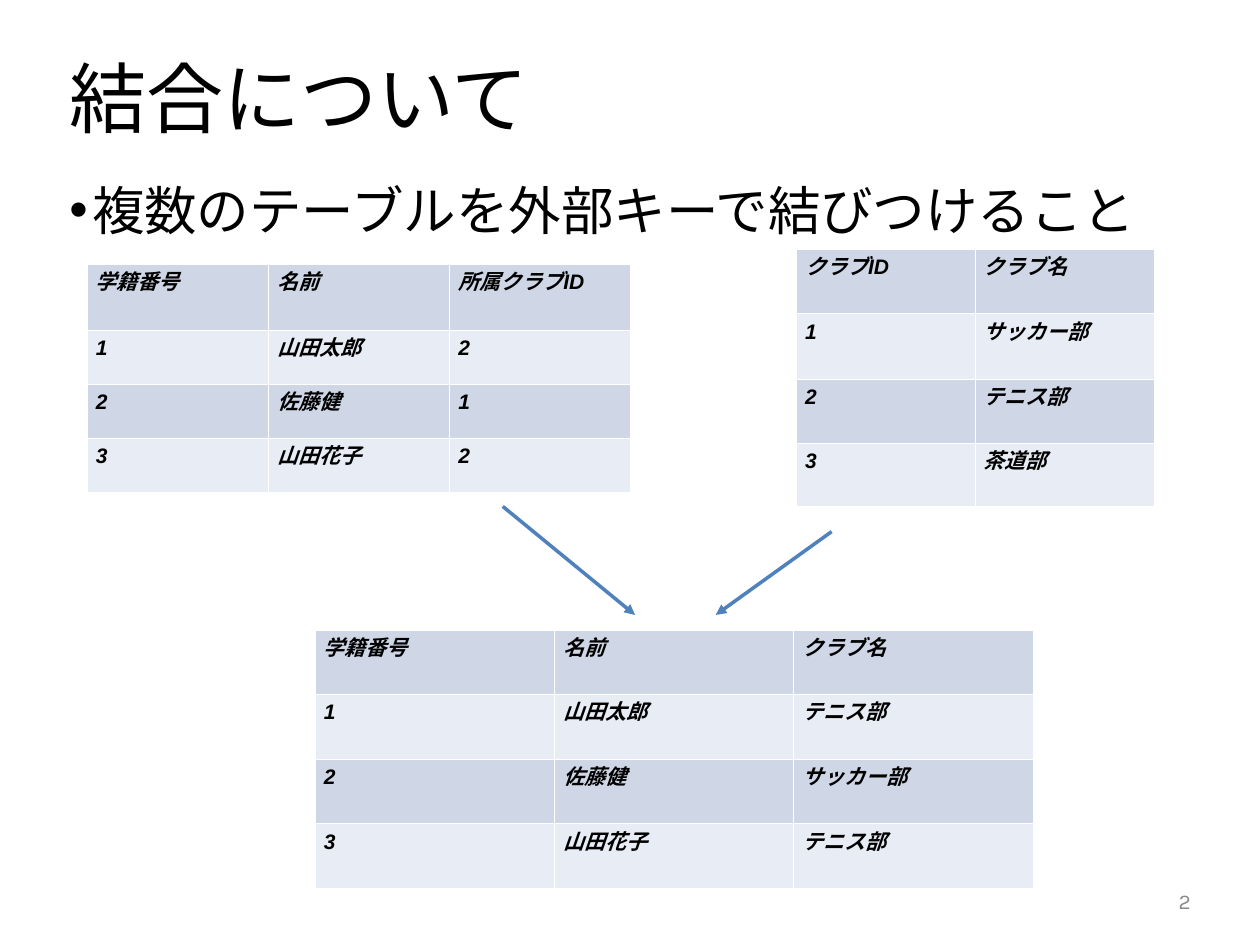
"""Build a slide that explains joining two tables through a foreign key."""

from dataclasses import dataclass

from lxml.etree import SubElement
from pptx import Presentation
from pptx.dml.color import RGBColor
from pptx.enum.lang import MSO_LANGUAGE_ID
from pptx.enum.shapes import MSO_CONNECTOR
from pptx.enum.text import MSO_ANCHOR, PP_ALIGN
from pptx.oxml.ns import qn
from pptx.slide import Slide
from pptx.text.text import _Paragraph
from pptx.util import Pt


@dataclass(frozen=True)
class TextStyle:
    font: str
    size: float
    color: str
    bold: bool = False
    italic: bool = False


@dataclass(frozen=True)
class Theme:
    title: TextStyle = TextStyle("Karla", 44, "000000")
    body: TextStyle = TextStyle("Karla", 30, "000000")
    number: TextStyle = TextStyle("Karla", 12, "898989")
    cell: TextStyle = TextStyle("Arial", 12, "000000", True, True)
    bands: tuple[str, str] = ("CFD7E7", "E8ECF4")
    border: str = "FFFFFF"
    border_width: float = 0.45
    arrow: str = "4F81BD"
    arrow_width: float = 2


@dataclass(frozen=True)
class TextBox:
    text: str
    style: TextStyle
    left: float
    top: float
    width: float
    height: float
    anchor: MSO_ANCHOR = MSO_ANCHOR.MIDDLE
    alignment: PP_ALIGN = PP_ALIGN.LEFT
    bullet: str = ""


@dataclass(frozen=True)
class DataTable:
    left: float
    top: float
    column_width: float
    row_heights: tuple[float, ...]
    rows: tuple[tuple[str, ...], ...]


@dataclass(frozen=True)
class Arrow:
    start: tuple[float, float]
    end: tuple[float, float]


THEME = Theme()

TEXT_BOXES = (
    TextBox("結合について", THEME.title, 36, 21.6, 648, 67),
    TextBox("複数のテーブルを外部キーで結びつけること", THEME.body, 36, 97.9, 648, 396.7,
            anchor=MSO_ANCHOR.TOP, bullet="•"),
    TextBox("2", THEME.number, 516.2, 504, 167.8, 21.6, alignment=PP_ALIGN.RIGHT),
)

TABLES = (
    DataTable(49.7, 151.2, 103.6, (37.4, 31, 31, 31), (
        ("学籍番号", "名前", "所属クラブID"),
        ("1", "山田太郎", "2"),
        ("2", "佐藤健", "1"),
        ("3", "山田花子", "2"),
    )),
    DataTable(455, 142.6, 102.2, (36.7, 37.4, 36.7, 36), (
        ("クラブID", "クラブ名"),
        ("1", "サッカー部"),
        ("2", "テニス部"),
        ("3", "茶道部"),
    )),
    DataTable(180, 360, 136.8, (36.9,) * 4, (
        ("学籍番号", "名前", "クラブ名"),
        ("1", "山田太郎", "テニス部"),
        ("2", "佐藤健", "サッカー部"),
        ("3", "山田花子", "テニス部"),
    )),
)

ARROWS = (
    Arrow((287.3, 289.4), (362.9, 351.4)),
    Arrow((475.2, 303.8), (409, 351.4)),
)


def add_run(paragraph: _Paragraph, text: str, style: TextStyle) -> None:
    run = paragraph.add_run()
    run.text = text
    font = run.font
    font.name, font.size = style.font, Pt(style.size)
    font.bold, font.italic = style.bold, style.italic
    font.color.rgb = RGBColor.from_string(style.color)
    font.language_id = MSO_LANGUAGE_ID.JAPANESE
    SubElement(run._r.rPr, qn("a:ea"), typeface=style.font)


def add_bullet(paragraph: _Paragraph, bullet: str) -> None:
    paragraph.space_before = Pt(7)
    properties = paragraph._p.get_or_add_pPr()
    properties.set("marL", str(Pt(13)))
    properties.set("indent", str(-Pt(13)))
    SubElement(properties, qn("a:buFont"), typeface="Arial")
    SubElement(properties, qn("a:buChar"), char=bullet)


def draw_text_box(slide: Slide, box: TextBox) -> None:
    shape = slide.shapes.add_textbox(Pt(box.left), Pt(box.top), Pt(box.width), Pt(box.height))
    frame = shape.text_frame
    frame.word_wrap = True
    frame.vertical_anchor = box.anchor
    frame.margin_left = frame.margin_right = Pt(3.6)
    frame.margin_top = frame.margin_bottom = Pt(3.6)
    paragraph = frame.paragraphs[0]
    paragraph.alignment = box.alignment
    if box.bullet:
        add_bullet(paragraph, box.bullet)
    add_run(paragraph, box.text, box.style)


def draw_table(slide: Slide, data: DataTable) -> None:
    column_count = len(data.rows[0])
    table = slide.shapes.add_table(
        len(data.rows), column_count, Pt(data.left), Pt(data.top),
        Pt(data.column_width * column_count), Pt(sum(data.row_heights)),
    ).table
    table.first_row = table.horz_banding = False
    for column in table.columns:
        column.width = Pt(data.column_width)
    for row_index, (texts, height) in enumerate(zip(data.rows, data.row_heights)):
        table.rows[row_index].height = Pt(height)
        for column_index, text in enumerate(texts):
            cell = table.cell(row_index, column_index)
            cell.margin_left = cell.margin_right = Pt(5.1)
            cell.margin_top = cell.margin_bottom = Pt(3.6)
            properties = cell._tc.get_or_add_tcPr()
            for side in ("lnL", "lnR", "lnT", "lnB"):
                line = SubElement(properties, qn(f"a:{side}"), w=str(Pt(THEME.border_width)))
                fill = SubElement(line, qn("a:solidFill"))
                SubElement(fill, qn("a:srgbClr"), val=THEME.border)
            cell.fill.solid()
            cell.fill.fore_color.rgb = RGBColor.from_string(THEME.bands[row_index % 2])
            add_run(cell.text_frame.paragraphs[0], text, THEME.cell)


def draw_arrow(slide: Slide, arrow: Arrow) -> None:
    connector = slide.shapes.add_connector(
        MSO_CONNECTOR.STRAIGHT, *map(Pt, arrow.start), *map(Pt, arrow.end))
    connector.line.color.rgb = RGBColor.from_string(THEME.arrow)
    connector.line.width = Pt(THEME.arrow_width)
    SubElement(connector.line._get_or_add_ln(), qn("a:tailEnd"), type="triangle")
    SubElement(connector._element.spPr, qn("a:effectLst"))


def main() -> None:
    presentation = Presentation()
    presentation.slide_width, presentation.slide_height = Pt(720), Pt(540)
    slide = presentation.slides.add_slide(presentation.slide_layouts[6])
    for box in TEXT_BOXES:
        draw_text_box(slide, box)
    for data in TABLES:
        draw_table(slide, data)
    for arrow in ARROWS:
        draw_arrow(slide, arrow)
    presentation.save("out.pptx")


if __name__ == "__main__":
    main()
